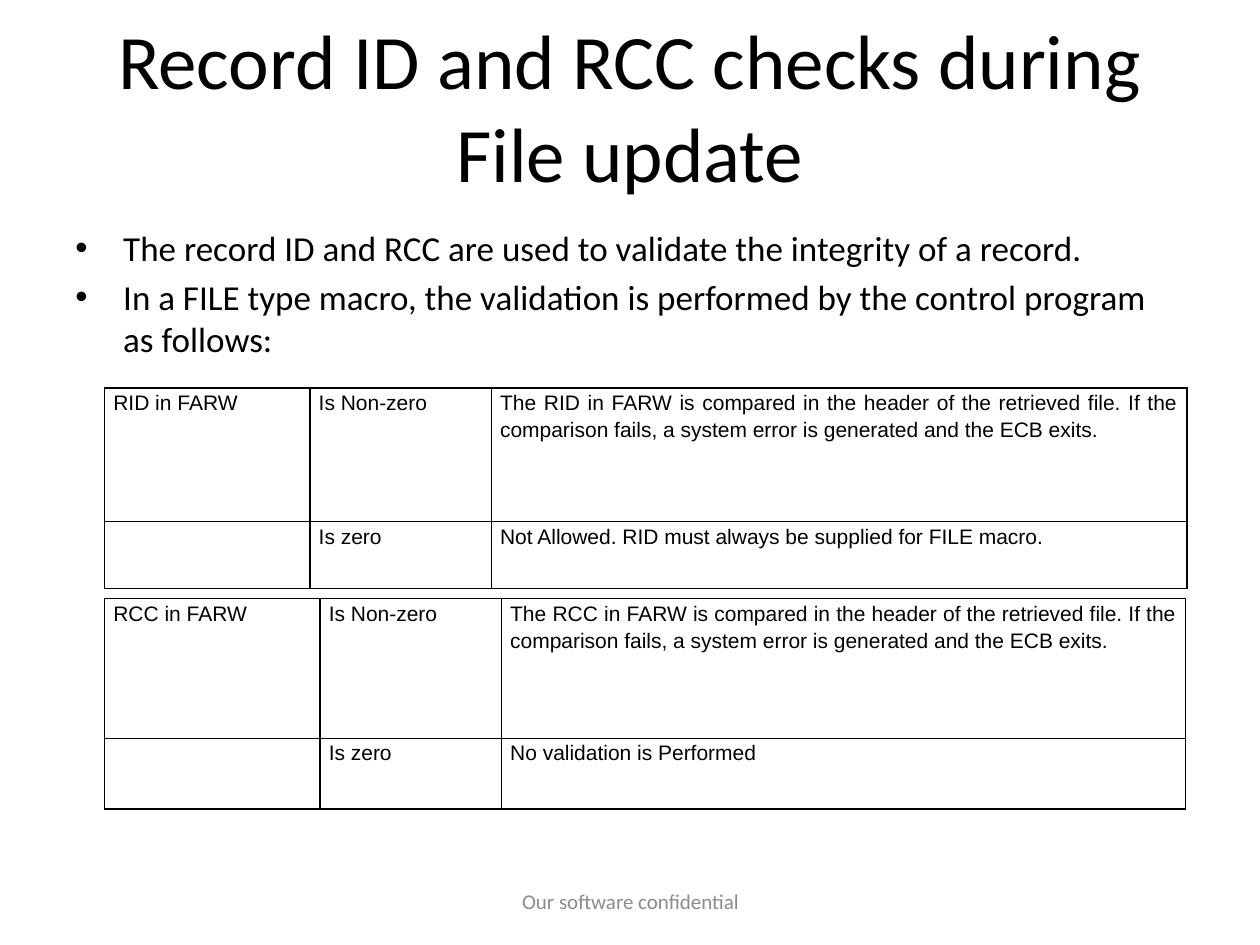
from dataclasses import dataclass
from lxml import etree
from pptx import Presentation
from pptx import util as u
from pptx.dml.color import RGBColor
from pptx.enum import text
from pptx.oxml import ns


@dataclass(frozen=True)
class Theme:
    heading_font: str = "Calibri"
    table_font: str = "Arial"
    ink: str = "000000"
    muted: str = "8C8C8C"
    title_size: int = 44
    bullet_size: int = 20
    small_size: int = 12
    border_width: int = 1


@dataclass(frozen=True)
class Box:
    left: float
    top: float
    width: float
    height: float

    def lengths(self) -> list[u.Length]:
        return [u.Inches(side) for side in (self.left, self.top, self.width, self.height)]


@dataclass(frozen=True)
class CheckTable:
    box: Box
    columns: tuple[float, ...]
    rows: tuple[float, ...]
    cells: tuple[tuple[str, ...], ...]


THEME = Theme()
TITLE = "Record ID and RCC checks during File update"
BULLETS = (
    "The record ID and RCC are used to validate the integrity of a record.",
    "In a FILE type macro, the validation is performed by the control program as follows:",
)
FOOTER = "Our software confidential"


def comparison(field: str) -> str:
    return (f"The {field} in FARW is compared in the header of the retrieved file. "
            "If the comparison fails, a system error is generated and the ECB exits.")


def check_rows(field: str, zero_result: str) -> tuple[tuple[str, ...], ...]:
    return ((f"{field} in FARW", "Is Non-zero", comparison(field)),
            ("", "Is zero", zero_result))


CHECKS = (
    CheckTable(Box(0.83, 3.08, 8.58, 1.58), (1.63, 1.44, 5.52), (1.06, 0.53),
               check_rows("RID", "Not Allowed. RID must always be supplied for FILE macro.")),
    CheckTable(Box(0.83, 4.75, 8.58, 1.67), (1.71, 1.44, 5.43), (1.11, 0.56),
               check_rows("RCC", "No validation is Performed")),
)


def add_run(paragraph, words: str, size: int, font: str = THEME.heading_font,
            color: str = THEME.ink) -> None:
    run = paragraph.add_run()
    run.text = words
    run.font.size = u.Pt(size)
    run.font.name = font
    run.font.color.rgb = RGBColor.from_string(color)


def add_frame(slide, box: Box, anchor: text.MSO_ANCHOR):
    frame = slide.shapes.add_textbox(*box.lengths()).text_frame
    frame.word_wrap = True
    frame.vertical_anchor = anchor
    return frame


def add_centered(slide, box: Box, words: str, size: int, color: str,
                 bottom_inset: float = 0.05) -> None:
    frame = add_frame(slide, box, text.MSO_ANCHOR.MIDDLE)
    frame.margin_bottom = u.Inches(bottom_inset)
    line = frame.paragraphs[0]
    line.alignment = text.PP_ALIGN.CENTER
    add_run(line, words, size, color=color)


def add_bullets(slide, box: Box, points: tuple[str, ...]) -> None:
    frame = add_frame(slide, box, text.MSO_ANCHOR.TOP)
    for index, point in enumerate(points):
        paragraph = frame.add_paragraph() if index else frame.paragraphs[0]
        properties = paragraph._p.get_or_add_pPr()
        properties.set("marL", str(u.Inches(0.38)))
        properties.set("indent", str(u.Inches(-0.38)))
        etree.SubElement(properties, ns.qn("a:buFont"), typeface="Arial")
        etree.SubElement(properties, ns.qn("a:buChar"), char="•")
        if index:
            paragraph.space_before = u.Pt(THEME.bullet_size * 0.2)
        add_run(paragraph, point, THEME.bullet_size)


def add_borders(cell) -> None:
    properties = cell._tc.get_or_add_tcPr()
    for position, side in enumerate(("lnL", "lnR", "lnT", "lnB")):
        border = etree.Element(ns.qn(f"a:{side}"), w=str(u.Pt(THEME.border_width)))
        fill = etree.SubElement(border, ns.qn("a:solidFill"))
        etree.SubElement(fill, ns.qn("a:srgbClr"), val=THEME.ink)
        properties.insert(position, border)


def fill_cell(cell, words: str) -> None:
    cell.fill.background()
    add_borders(cell)
    cell.margin_left = cell.margin_right = u.Inches(0.07)
    cell.margin_top = cell.margin_bottom = 0
    if words:
        paragraph = cell.text_frame.paragraphs[0]
        paragraph.alignment = text.PP_ALIGN.JUSTIFY
        paragraph.line_spacing = 1.15
        paragraph.space_after = u.Pt(10)
        add_run(paragraph, words, THEME.small_size, THEME.table_font)


def add_checks(slide, checks: CheckTable) -> None:
    table = slide.shapes.add_table(
        len(checks.rows), len(checks.columns), *checks.box.lengths()).table
    table.first_row = table.horz_banding = False
    for column, width in zip(table.columns, checks.columns):
        column.width = u.Inches(width)
    for row, height, row_words in zip(table.rows, checks.rows, checks.cells):
        row.height = u.Inches(height)
        for cell, words in zip(row.cells, row_words):
            fill_cell(cell, words)


def main() -> None:
    deck = Presentation()
    deck.slide_width, deck.slide_height = u.Inches(10), u.Inches(7.5)
    slide = deck.slides.add_slide(deck.slide_layouts[6])
    add_centered(slide, Box(0.5, 0.58, 9, 1.25), TITLE, THEME.title_size, THEME.ink,
                 bottom_inset=0.79)
    add_bullets(slide, Box(0.5, 1.75, 9, 5.13), BULLETS)
    add_centered(slide, Box(3.42, 6.95, 3.17, 0.4), FOOTER, THEME.small_size, THEME.muted)
    for checks in CHECKS:
        add_checks(slide, checks)
    deck.save("out.pptx")


if __name__ == "__main__":
    main()
